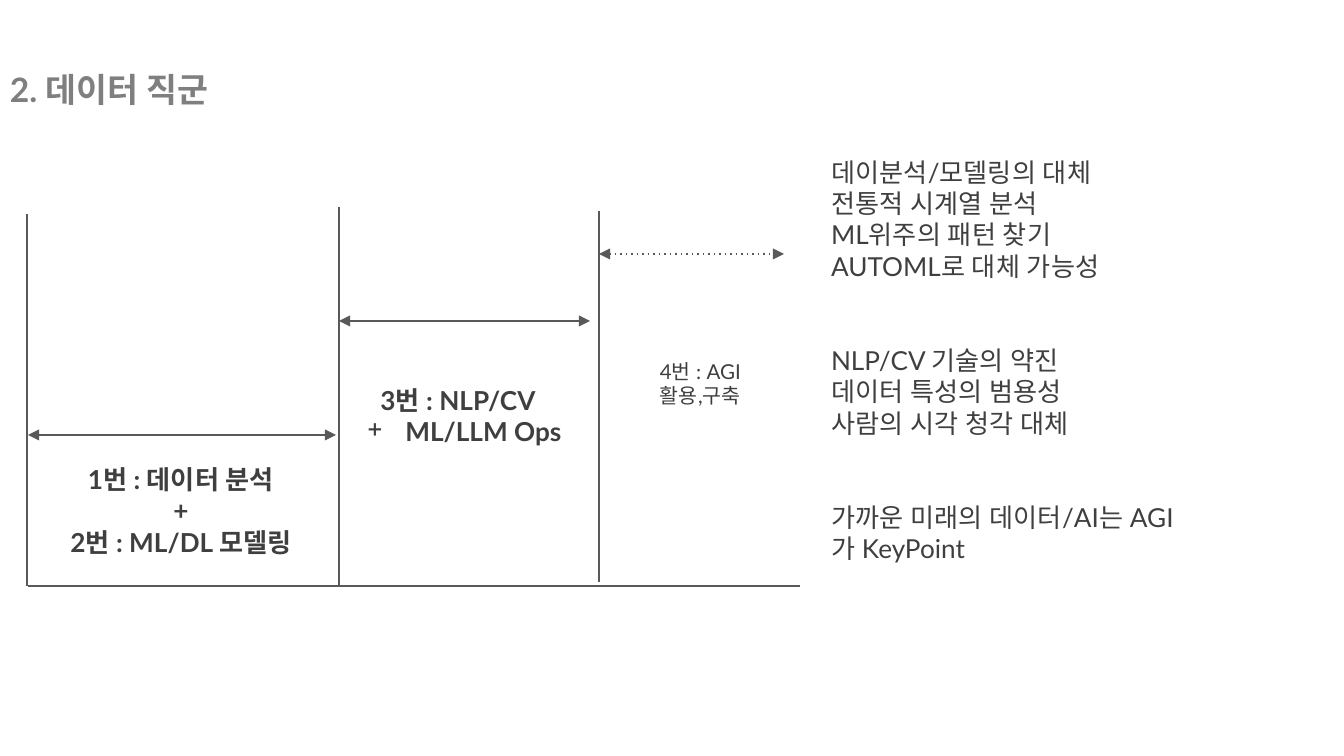
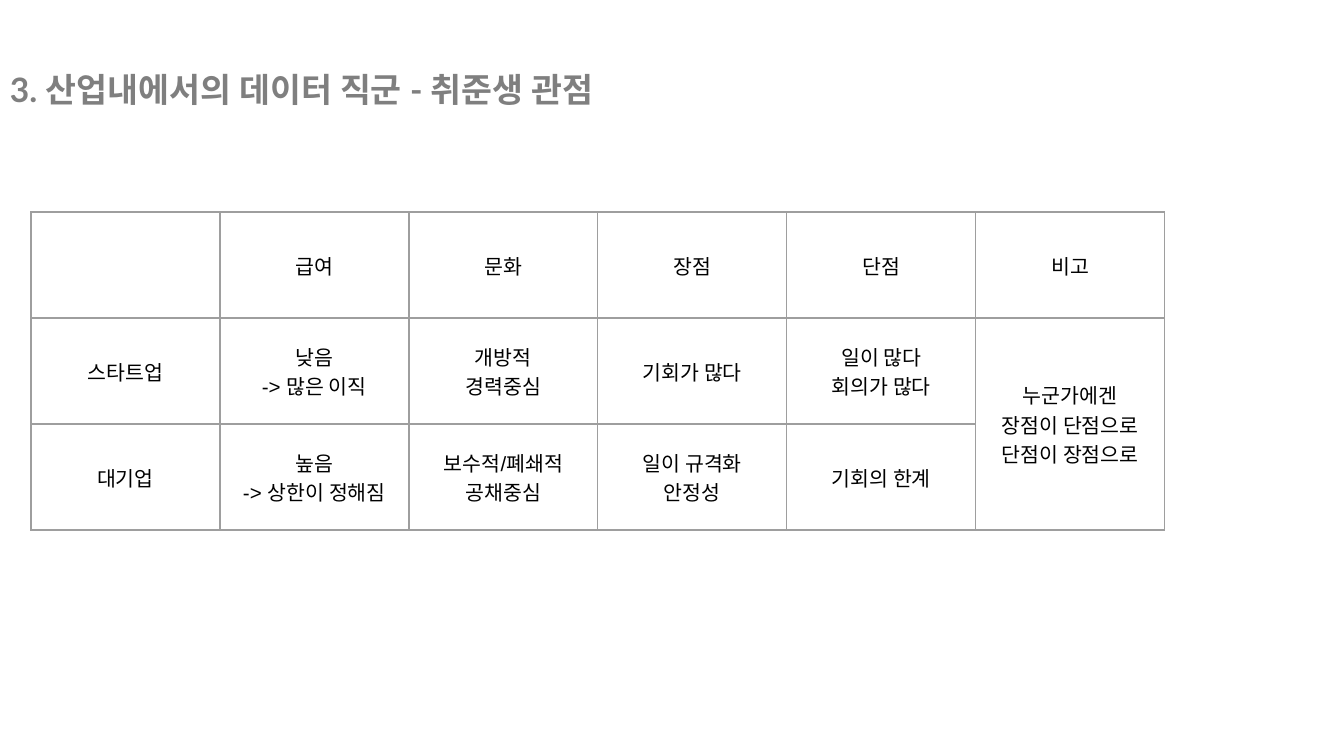
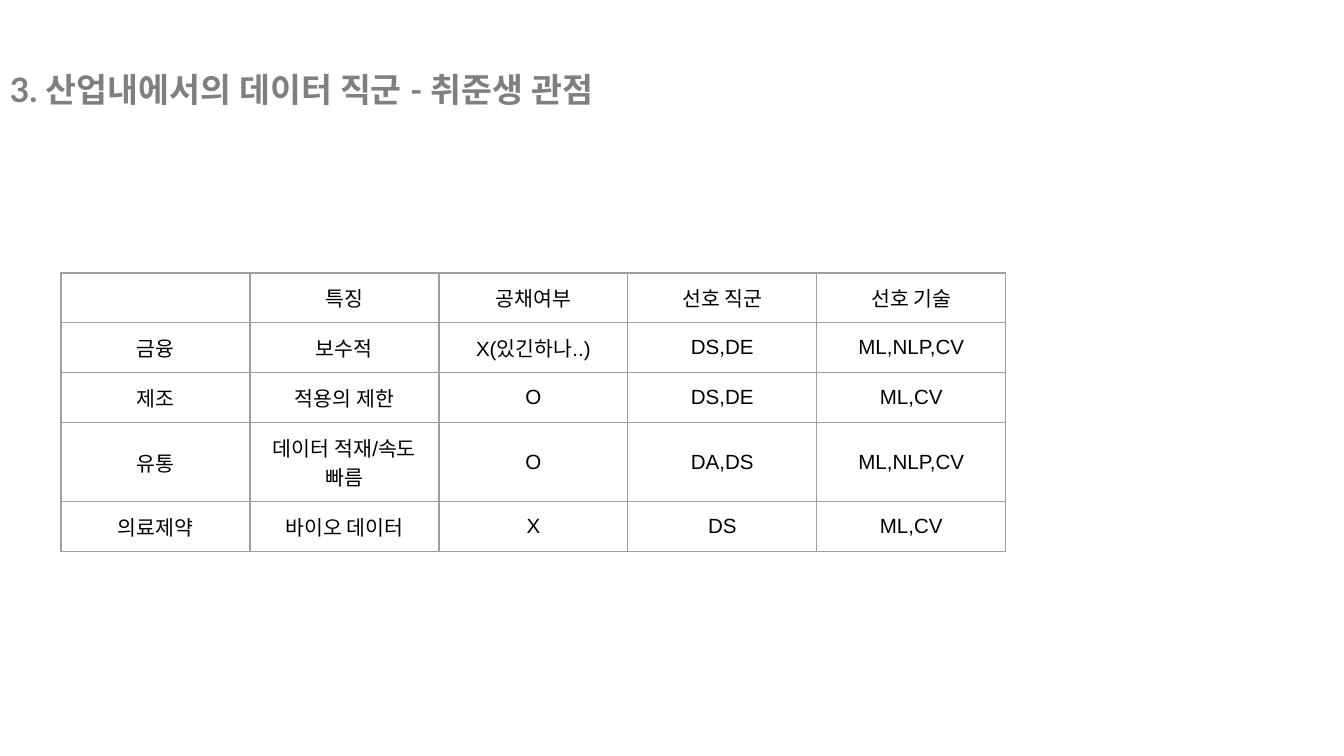
import lxml.etree
import pptx
import pptx.dml.color
import pptx.enum.shapes
import pptx.enum.text
import pptx.oxml.ns
import pptx.util

PX = 914400 / 134.4
TITLE_COLOR, TEXT_COLOR, CELL_COLOR = "7F7F7F", "3F3F3F", "000000"
AXIS_COLOR, BORDER_COLOR = "595959", "9E9E9E"
LEFT = pptx.enum.text.PP_ALIGN.LEFT
CENTER = pptx.enum.text.PP_ALIGN.CENTER
TOP = pptx.enum.text.MSO_ANCHOR.TOP
MIDDLE = pptx.enum.text.MSO_ANCHOR.MIDDLE
CELL_WIDTH = 189
TITLE_FONT = {"name": "Lato", "size": pptx.util.Pt(18), "bold": True}
BODY_FONT = {"name": "Lato", "size": pptx.util.Pt(14), "bold": False}
BOLD_FONT = {**BODY_FONT, "bold": True}
SMALL_FONT = {**BODY_FONT, "size": pptx.util.Pt(11)}
CELL_FONT = {**SMALL_FONT, "name": "Arial"}

INDUSTRY_TITLE = "3. 산업내에서의 데이터 직군 - 취준생 관점"
NOTES = [
    ["데이분석/모델링의 대체", "전통적 시계열 분석", "ML위주의 패턴 찾기", "AUTOML로 대체 가능성"],
    ["NLP/CV 기술의 약진", "데이터 특성의 범용성", "사람의 시각 청각 대체"],
    ["가까운 미래의 데이터/AI는 AGI가 KeyPoint"],
]
COMPANY_ROWS = [
    ["", "급여", "문화", "장점", "단점", "비고"],
    ["스타트업", "낮음\n-> 많은 이직", "개방적\n경력중심", "기회가 많다",
     "일이 많다\n회의가 많다", "누군가에겐\n장점이 단점으로\n단점이 장점으로"],
    ["대기업", "높음\n-> 상한이 정해짐", "보수적/폐쇄적\n공채중심",
     "일이 규격화\n안정성", "기회의 한계", ""],
]
SECTOR_ROWS = [
    ["", "특징", "공채여부", "선호 직군", "선호 기술"],
    ["금융", "보수적", "X(있긴하나..)", "DS,DE", "ML,NLP,CV"],
    ["제조", "적용의 제한", "O", "DS,DE", "ML,CV"],
    ["유통", "데이터 적재/속도 빠름", "O", "DA,DS", "ML,NLP,CV"],
    ["의료제약", "바이오 데이터", "X", "DS", "ML,CV"],
]


def px(n):
    """Turn px into EMU."""
    return pptx.util.Emu(round(n * PX))


def rgb(color):
    """Turn a hex string into a colour."""
    return pptx.dml.color.RGBColor.from_string(color)


def apply(obj, formats):
    """Set each attribute of a format dict."""
    for key, value in formats.items():
        setattr(obj, key, value)


def sub(parent, tag, **attrs):
    """Append a drawing element to a parent."""
    return lxml.etree.SubElement(parent, pptx.oxml.ns.qn("a:" + tag), **attrs)


def place(sp, left, top, width, height):
    """Move and size a shape."""
    apply(sp, {"left": px(left), "top": px(top), "width": px(width), "height": px(height)})


def frame(tf, anchor, inset=10):
    """Format a text frame."""
    apply(tf, {
        "word_wrap": True, "vertical_anchor": anchor,
        "auto_size": pptx.enum.text.MSO_AUTO_SIZE.NONE,
        "margin_left": px(10), "margin_right": px(10),
        "margin_top": px(inset), "margin_bottom": px(inset),
    })


def indent(p, margin=0, first=0, bullet=None):
    """Set the indents and the bullet of a paragraph."""
    pPr = p._p.get_or_add_pPr()
    pPr.set("marL", str(px(margin)))
    pPr.set("indent", str(px(first)))
    if bullet:
        sub(sub(pPr, "buClr"), "srgbClr", val=TEXT_COLOR)
        sub(pPr, "buChar", char=bullet)
    else:
        sub(pPr, "buNone")


def write(tf, lines, font, color, align=LEFT):
    """Write lines as paragraphs and return them."""
    for i, line in enumerate(lines):
        p = tf.add_paragraph() if i else tf.paragraphs[0]
        apply(p, {"alignment": align, "space_before": pptx.util.Pt(0)})
        if not line:
            sub(p._p, "endParaRPr", sz=str(int(font["size"].pt * 100)))
            continue
        r = p.add_run()
        r.text = line
        apply(r.font, font)
        r.font.color.rgb = rgb(color)
        if font["name"] == "Lato":
            sub(r._r.get_or_add_rPr(), "ea", typeface="Lato")
    return tf.paragraphs


def add_slide(prs, layout, title, width):
    """Add a slide with the shared title style."""
    s = prs.slides.add_slide(prs.slide_layouts[layout])
    sp = s.shapes.title
    place(sp, 0, 44, width, 63)
    frame(sp.text_frame, TOP, 5)
    write(sp.text_frame, [title], TITLE_FONT, TITLE_COLOR)[0].line_spacing = 1.5
    return s


def add_notes(s, box, groups):
    """Fill the body placeholder with spaced groups of lines."""
    sp = s.placeholders[1]
    place(sp, *box)
    frame(sp.text_frame, TOP)
    paragraphs = write(sp.text_frame, sum(groups, []), BODY_FONT, TEXT_COLOR)
    for p in paragraphs:
        indent(p)
    start = 0
    for group in groups[:-1]:
        start += len(group)
        paragraphs[start].space_before = pptx.util.Pt(33.6)


def add_label(s, box, lines, font, align):
    """Add a text box and return its paragraphs."""
    sp = s.shapes.add_textbox(*map(px, box))
    frame(sp.text_frame, MIDDLE)
    return write(sp.text_frame, lines, font, TEXT_COLOR, align)


def add_line(s, ends, arrows=False, dash="solid"):
    """Add a thin line, with arrowheads at both ends if asked."""
    sp = s.shapes.add_connector(pptx.enum.shapes.MSO_CONNECTOR.STRAIGHT, *map(px, ends))
    sp.line.color.rgb = rgb(AXIS_COLOR)
    sp.line.width = pptx.util.Pt(0.75)
    ln = sp.line._get_or_add_ln()
    sub(ln, "prstDash", val=dash)
    if arrows:
        for tag in ("headEnd", "tailEnd"):
            sub(ln, tag, type="triangle")
    sub(sp._element.spPr, "effectLst")


def format_cell(cell, text):
    """Write and outline one table cell."""
    apply(cell, {"vertical_anchor": MIDDLE, "margin_left": px(10), "margin_right": px(10),
                 "margin_top": px(10), "margin_bottom": px(10)})
    write(cell.text_frame, text.split("\n"), CELL_FONT, CELL_COLOR, CENTER)
    for side in "LRTB":
        ln = sub(cell._tc.get_or_add_tcPr(), "ln" + side, w=str(pptx.util.Pt(0.75)))
        sub(sub(ln, "solidFill"), "srgbClr", val=BORDER_COLOR)
    cell.fill.background()


def add_grid(s, left, top, row_height, rows):
    """Add a plain outlined table with equal cells."""
    n_rows, n_cols = len(rows), len(rows[0])
    size = (left, top, CELL_WIDTH * n_cols, row_height * n_rows)
    table = s.shapes.add_table(n_rows, n_cols, *map(px, size)).table
    apply(table, {"first_row": False, "horz_banding": False})
    for col in table.columns:
        col.width = px(CELL_WIDTH)
    for i, row in enumerate(rows):
        table.rows[i].height = px(row_height)
        for j, text in enumerate(row):
            format_cell(table.cell(i, j), text)
    return table


def add_job_slide(prs):
    """Add the chart of data job families."""
    s = add_slide(prs, 1, "2. 데이터 직군", 325)
    for ends in ((27, 214, 27, 586), (28, 586, 800, 586),
                 (339, 586, 339, 207), (599, 582, 599, 211)):
        add_line(s, ends)
    add_line(s, (28, 435, 336, 435), arrows=True)
    add_line(s, (339, 321, 590, 321), arrows=True)
    add_line(s, (599, 254, 784, 254), arrows=True, dash="dot")
    add_label(s, (28, 448, 306, 125), ["1번 : 데이터 분석", "+", "2번 : ML/DL 모델링"],
              BOLD_FONT, CENTER)
    ops = add_label(s, (305, 353, 306, 125), ["3번 : NLP/CV", "ML/LLM Ops"], BOLD_FONT, CENTER)
    indent(ops[1], 51, -38, "+")
    for p in add_label(s, (599, 321, 191, 125), ["4번 : AGI", "활용,구축"], SMALL_FONT, LEFT):
        indent(p, 51)
    add_notes(s, (821, 146, 372, 435), NOTES)


def main():
    """Build the deck."""
    prs = pptx.Presentation()
    apply(prs, {"slide_width": px(1344), "slide_height": px(756)})
    add_job_slide(prs)
    s = add_slide(prs, 5, INDUSTRY_TITLE, 731)
    table = add_grid(s, 31, 212, 106, COMPANY_ROWS)
    table.cell(1, 5).merge(table.cell(2, 5))
    s = add_slide(prs, 5, INDUSTRY_TITLE, 731)
    add_grid(s, 61, 273, 42, SECTOR_ROWS)
    prs.save("out.pptx")


if __name__ == "__main__":
    main()
